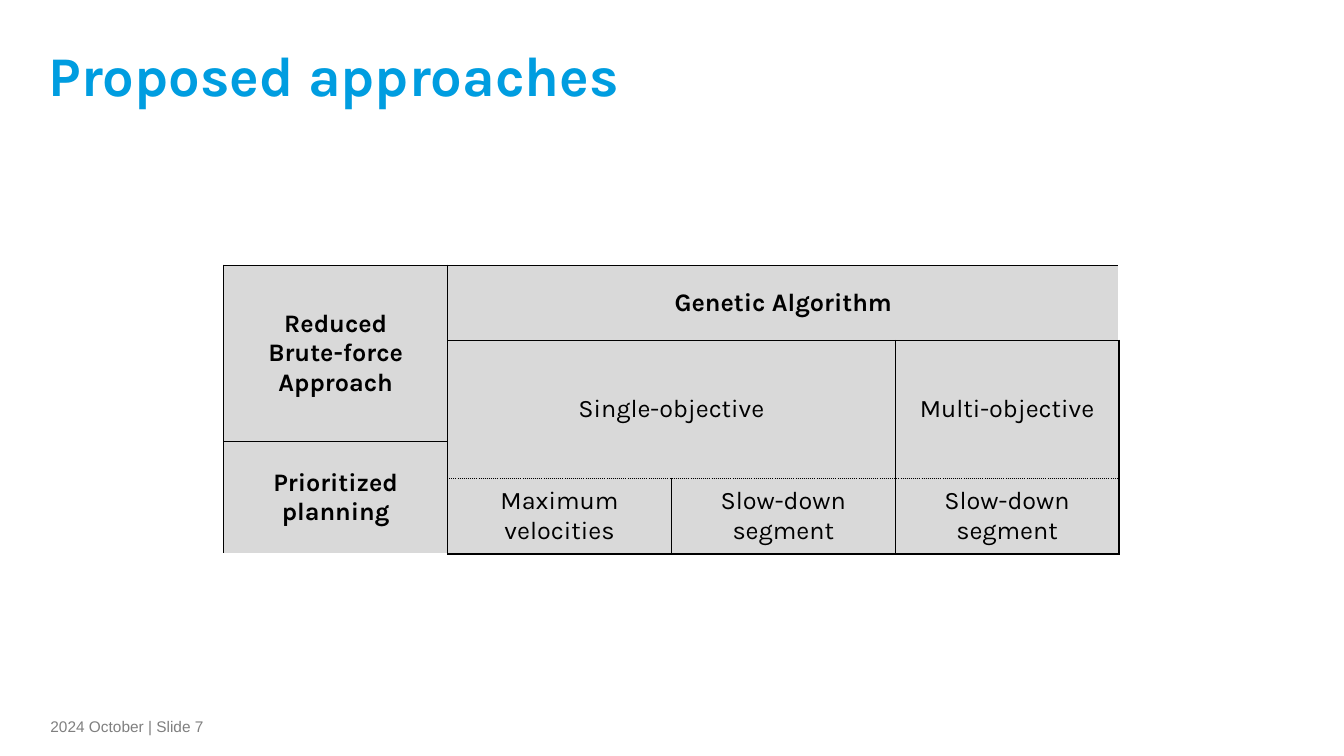
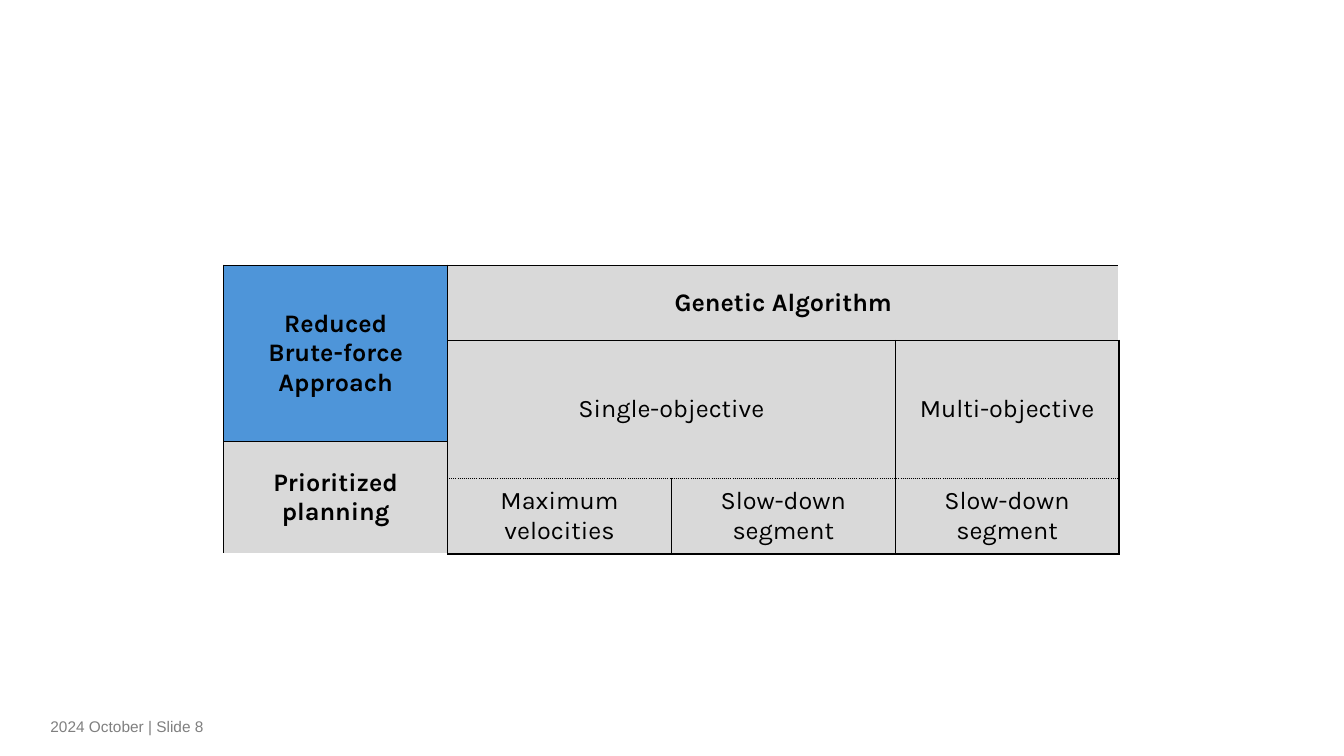
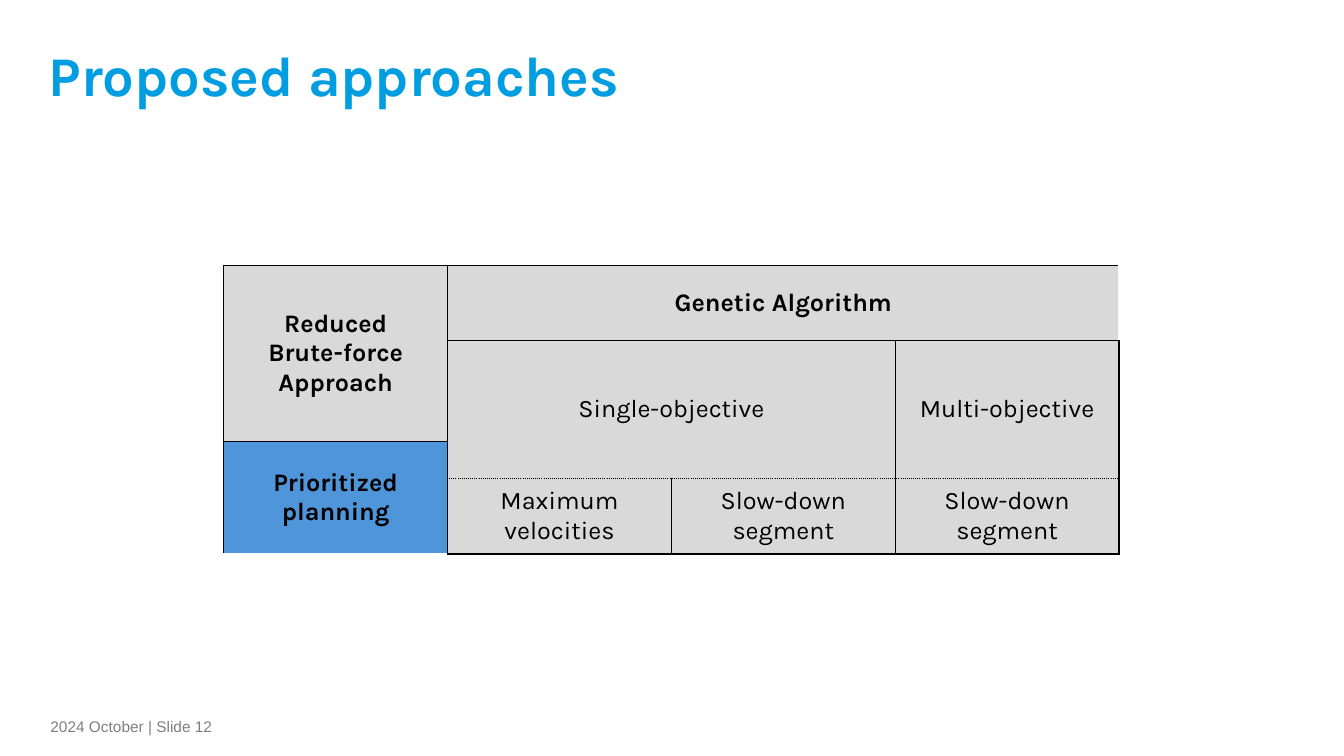
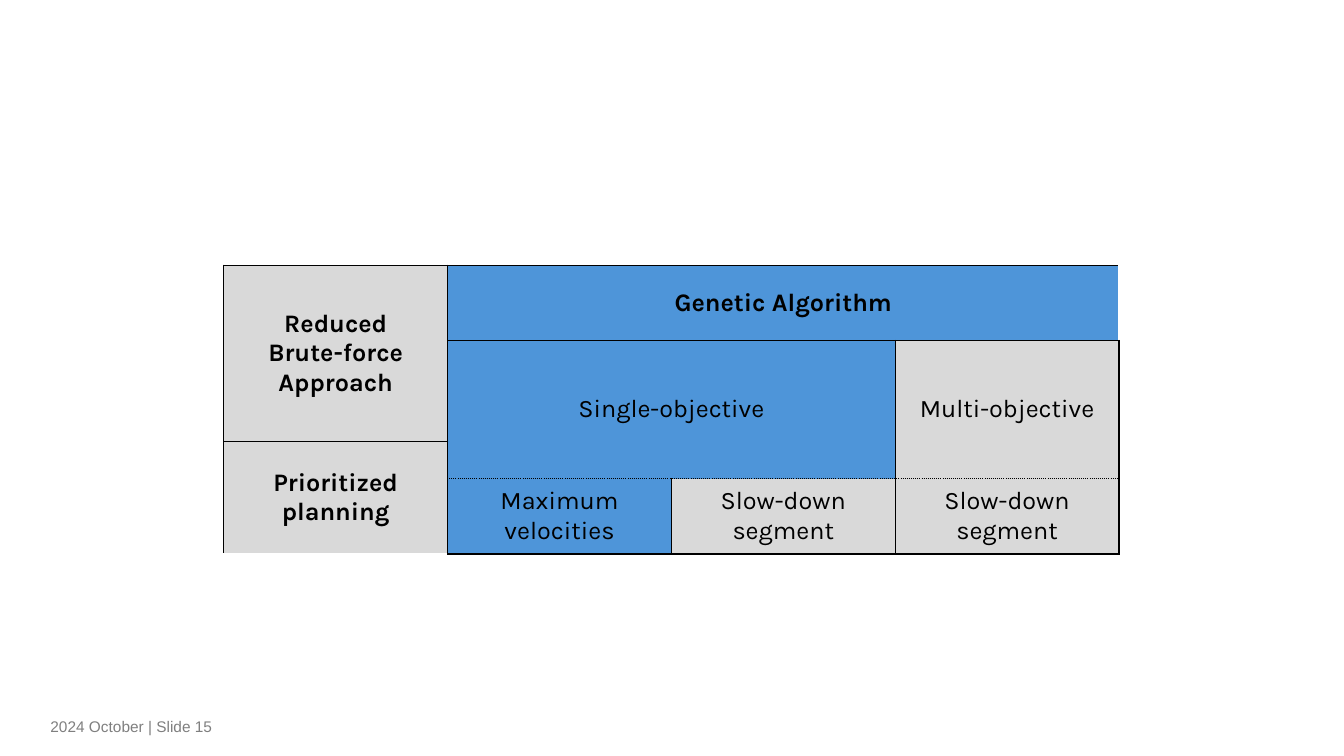
from lxml.etree import SubElement
from pptx import Presentation
from pptx.dml.color import RGBColor
from pptx.enum.text import MSO_ANCHOR, PP_ALIGN
from pptx.oxml.ns import qn
from pptx.util import Cm, Pt

# Content
TITLE = "Proposed approaches"
FOOTER = "2024 October | Slide {}"
# slide number, has a title, highlighted cells (row, column)
PAGES = [
    (7, True, []),
    (8, False, [(0, 0)]),
    (12, True, [(2, 0)]),
    (15, False, [(0, 1), (1, 1), (3, 1)]),
]
# row, column, row span, column span, bold, lines
APPROACHES = [
    (0, 0, 2, 1, True, ["Reduced", "Brute-force", "Approach"]),
    (0, 1, 1, 3, True, ["Genetic Algorithm"]),
    (1, 1, 2, 2, False, ["Single-objective"]),
    (1, 3, 2, 1, False, ["Multi-objective"]),
    (2, 0, 2, 1, True, ["Prioritized planning"]),
    (3, 1, 1, 1, False, ["Maximum velocities"]),
    (3, 2, 1, 1, False, ["Slow-down segment"]),
    (3, 3, 1, 1, False, ["Slow-down segment"]),
]

# Shared style
COLORS = {
    "title": "009DE0",
    "footer": "7F7F7F",
    "text": "000000",
    "border": "000000",
    "cell": "D9D9D9",
    "highlight": "4E95D9",
}
HEADING_FONT, FOOTER_FONT = "Karla", "Arial"
ROW_HEIGHTS = [Cm(1.9), Cm(0.94), Cm(0.94), Cm(1.9)]
COLUMN_WIDTHS = [Cm(5.64)] * 4
DOTTED_ROW = 3  # the line above this row is dotted, right of the first column


def add_span(para, text, font, size, color, bold=False):
    span = para.add_run()
    span.text = text
    span.font.name = font
    span.font.size = Pt(size)
    span.font.bold = bold
    span.font.color.rgb = RGBColor.from_string(COLORS[color])


def add_title(page):
    title = page.shapes.title
    title.left, title.top, title.width, title.height = Cm(0.97), Cm(0.69), Cm(31.93), Cm(2.36)
    title.text_frame.vertical_anchor = MSO_ANCHOR.MIDDLE
    para = title.text_frame.paragraphs[0]
    para.alignment = PP_ALIGN.LEFT
    add_span(para, TITLE, HEADING_FONT, 40, "title", True)


def add_footer(page, number):
    frame = page.shapes.add_textbox(Cm(1.27), Cm(18.08), Cm(5.92), Cm(0.56)).text_frame
    frame.word_wrap = True
    frame.vertical_anchor = MSO_ANCHOR.MIDDLE
    frame.margin_left = frame.margin_right = frame.margin_top = 0
    frame.margin_bottom = Cm(0.13)
    add_span(frame.paragraphs[0], FOOTER.format(number), FOOTER_FONT, 11, "footer")


def add_border(cell, edge, dash):
    line = SubElement(cell._tc.get_or_add_tcPr(), qn(f"a:ln{edge}"), w=str(Pt(1)))
    fill = SubElement(line, qn("a:solidFill"))
    SubElement(fill, qn("a:srgbClr"), val=COLORS["border"])
    SubElement(line, qn("a:prstDash"), val=dash)


def style_cell(cell, row, column, area, color):
    """Draw the cell's edges that lie on the outline of its merged area."""
    first_row, first_column, last_row, last_column = area
    outline = [
        ("L", column == first_column, False),
        ("R", column == last_column, False),
        ("T", row == first_row, row == DOTTED_ROW),
        ("B", row == last_row, row + 1 == DOTTED_ROW),
    ]
    for edge, on_outline, on_dotted_line in outline:
        if on_outline:
            add_border(cell, edge, "dot" if on_dotted_line and column > 0 else "solid")
    cell.fill.solid()
    cell.fill.fore_color.rgb = RGBColor.from_string(COLORS[color])


def add_approaches(page, highlighted):
    table = page.shapes.add_table(
        len(ROW_HEIGHTS), len(COLUMN_WIDTHS), Cm(5.64), Cm(6.68),
        sum(COLUMN_WIDTHS), sum(ROW_HEIGHTS)).table
    table.first_row = table.horz_banding = False
    for row, height in zip(table.rows, ROW_HEIGHTS):
        row.height = height
    for column, width in zip(table.columns, COLUMN_WIDTHS):
        column.width = width

    for top, left, row_span, column_span, bold, lines in APPROACHES:
        bottom, right = top + row_span - 1, left + column_span - 1
        cell = table.cell(top, left)
        if row_span * column_span > 1:
            cell.merge(table.cell(bottom, right))
        color = "highlight" if (top, left) in highlighted else "cell"
        for row in range(top, bottom + 1):
            for column in range(left, right + 1):
                style_cell(table.cell(row, column), row, column,
                           (top, left, bottom, right), color)
        cell.vertical_anchor = MSO_ANCHOR.MIDDLE
        frame = cell.text_frame
        for index, line in enumerate(lines):
            para = frame.add_paragraph() if index else frame.paragraphs[0]
            para.alignment = PP_ALIGN.CENTER
            add_span(para, line, HEADING_FONT, 18, "text", bold)


def main():
    deck = Presentation()
    deck.slide_width, deck.slide_height = Cm(33.87), Cm(19.05)
    title_only, blank = deck.slide_layouts[5], deck.slide_layouts[6]
    for number, has_title, highlighted in PAGES:
        page = deck.slides.add_slide(title_only if has_title else blank)
        add_footer(page, number)
        if has_title:
            add_title(page)
        add_approaches(page, highlighted)
    deck.save("out.pptx")


if __name__ == "__main__":
    main()
